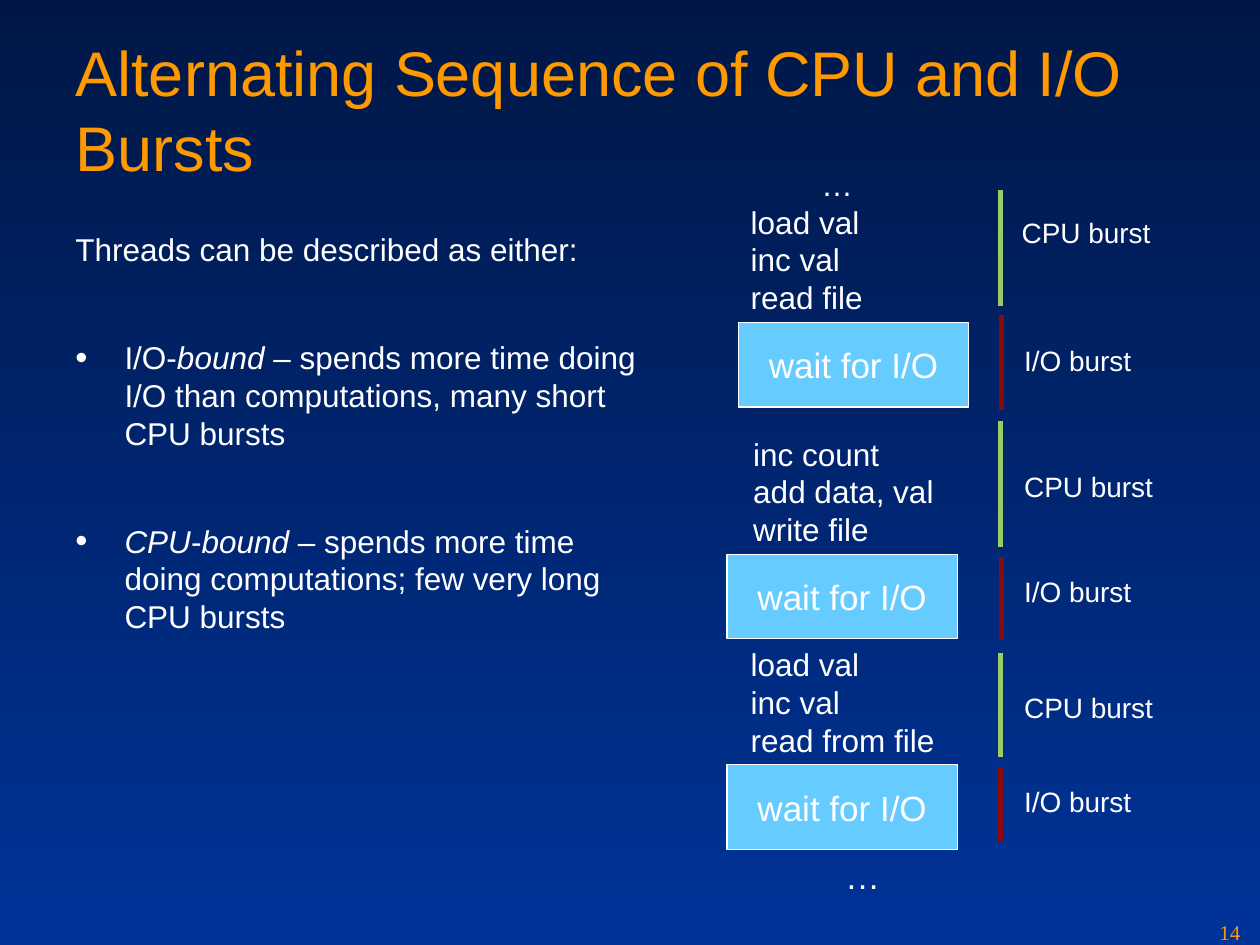
from dataclasses import dataclass

from lxml.etree import SubElement
from pptx import Presentation
from pptx.dml.color import RGBColor
from pptx.enum.shapes import MSO_CONNECTOR as CONN, MSO_SHAPE as SHAPE
from pptx.enum.text import MSO_ANCHOR as ANCHOR, MSO_AUTO_SIZE as FIT, PP_ALIGN as ALIGN
from pptx.oxml.ns import qn
from pptx.util import Inches, Pt

COLS, ROWS = 100, 75
CELL = Inches(0.1)


@dataclass(frozen=True)
class Theme:
    font: str = "Arial"
    number_font: str = "Times New Roman"
    top: str = "001746"
    bottom: str = "003399"
    accent: str = "FE9900"
    text: str = "FFFFFF"
    wait: str = "66CCFF"
    cpu: str = "99CC66"
    io_burst: str = "8B0A0B"
    title: int = 36
    large: int = 20
    body: int = 18
    label: int = 16
    number: int = 12


T = Theme()


def rgb(color):
    return RGBColor.from_string(color)


def cells(*values):
    """Convert grid columns or rows to slide lengths."""
    return [round(v * CELL) for v in values]


def add_run(p, text, size, color=T.text, font=T.font, italic=False):
    r = p.add_run()
    r.text = text
    r.font.name, r.font.size, r.font.italic = font, Pt(size), italic
    r.font.color.rgb = rgb(color)


def add_text(slide, box, lines, size, wrap=False, **style):
    """Add a text box with one paragraph per line and return its text frame."""
    tf = slide.shapes.add_textbox(*cells(*box)).text_frame
    tf.word_wrap = wrap
    tf.auto_size = FIT.NONE if wrap else FIT.SHAPE_TO_FIT_TEXT
    for i, line in enumerate(lines):
        p = tf.add_paragraph() if i else tf.paragraphs[0]
        add_run(p, line, size, **style)
    return tf


def indent(p, left, first):
    pPr = p._p.get_or_add_pPr()
    pPr.set("marL", str(Inches(left)))
    pPr.set("indent", str(Inches(first)))
    return pPr


def add_bullet(p):
    pPr = indent(p, 0.39, -0.39)
    clr = SubElement(pPr, qn("a:buClr"))
    SubElement(clr, qn("a:srgbClr"), val=T.text)
    SubElement(pPr, qn("a:buSzPct"), val="110000")
    SubElement(pPr, qn("a:buFont"), typeface=T.font)
    SubElement(pPr, qn("a:buChar"), char="•")


def set_background(slide):
    fill = slide.background.fill
    fill.gradient()
    fill.gradient_angle = 270
    for stop, color in zip(fill.gradient_stops, (T.top, T.bottom)):
        stop.color.rgb = rgb(color)


def place_title(slide, box, text):
    sp = slide.shapes.title
    sp.left, sp.top, sp.width, sp.height = cells(*box)
    tf = sp.text_frame
    tf.word_wrap, tf.auto_size, tf.vertical_anchor = True, FIT.NONE, ANCHOR.MIDDLE
    p = tf.paragraphs[0]
    p.alignment = ALIGN.LEFT
    add_run(p, text, T.title, T.accent)


def place_definitions(slide, box, intro, items):
    """Intro line, then bulleted items made of (text, italic) runs."""
    tf = add_text(slide, box, [intro], T.body, wrap=True)
    for runs in items:
        p = tf.add_paragraph()
        add_bullet(p)
        p.space_before = Pt(40)
        for text, italic in runs:
            add_run(p, text, T.body, italic=italic)


def add_wait(slide, box):
    sp = slide.shapes.add_shape(SHAPE.RECTANGLE, *cells(*box))
    sp.shadow.inherit = False
    sp.fill.solid()
    sp.fill.fore_color.rgb = rgb(T.wait)
    sp.line.color.rgb, sp.line.width = rgb(T.text), Pt(0.75)
    tf = sp.text_frame
    tf.word_wrap, tf.vertical_anchor = False, ANCHOR.MIDDLE
    p = tf.paragraphs[0]
    p.alignment = ALIGN.CENTER
    add_run(p, "wait for I/O", T.large)


def place_program(slide, box, blocks):
    """Code blocks, each followed by a wait box, and a closing ellipsis."""
    x, y, w, h = box
    for lines, dx, dy, cw, ch, wait_dx in blocks:
        tf = add_text(slide, (x + dx, y + dy, cw, ch), lines, T.body)
        if lines[0] == "…":
            indent(tf.paragraphs[0], 0.56, 0)
        add_wait(slide, (x + wait_dx, y + dy + ch, w, 6.7))
    add_text(slide, (x + 8.4, y + h - 4.4, 4.8, 4.4), ["…"], T.large)


def place_bursts(slide, box, bursts):
    """Alternating CPU and I/O bars, each with its label."""
    x, y = box[:2]
    kinds = (("CPU burst", T.cpu, 12.2), ("I/O burst", T.io_burst, 10.5))
    for i, (start, end, label_dy, shift) in enumerate(bursts):
        name, color, width = kinds[i % 2]
        bar = slide.shapes.add_connector(
            CONN.STRAIGHT, *cells(x + shift, y + start, x + shift, y + end))
        bar.line.color.rgb, bar.line.width = rgb(color), Pt(3)
        SubElement(bar._element.spPr, qn("a:effectLst"))
        label_dx = 0.9 if i else 0.7
        add_text(slide, (x + label_dx, y + label_dy, width, 3.7), [name], T.label)


def main():
    prs = Presentation()
    prs.slide_width, prs.slide_height = cells(COLS, ROWS)
    slide = prs.slides.add_slide(prs.slide_layouts[5])
    set_background(slide)
    place_title(slide, (5, 2.4, 90, 12.5), "Alternating Sequence of CPU and I/O Bursts")

    # Kinds of threads
    place_definitions(slide, (5, 17.8, 48.3, 44.8), "Threads can be described as either:", [
        [("I/O-", False), ("bound ", True),
         ("– spends more time doing I/O than computations, many short CPU bursts", False)],
        [("CPU", True), ("-", False), ("bound ", True),
         ("– spends more time doing computations; few very long CPU bursts", False)],
    ])

    # Instructions: lines, left, top, width, height, left of the wait box
    place_program(slide, (57.7, 12.6, 18.3, 59.1), [
        (["…", "load val", "inc val", "read file"], 0.9, 0, 10.9, 13, 0.9),
        (["inc count", "add data, val", "write file"], 1.1, 21.4, 16.3, 10, 0),
        (["load val", "inc val", "read from file"], 0.9, 38.1, 16.6, 10, 0),
    ])

    # Bursts: bar start, bar end, label top, bar shift
    place_bursts(slide, (79.4, 15.1, 13, 51.7), [
        (0, 9.2, 1.5, 0), (9.9, 17.4, 11.7, 0.1),
        (18.3, 28.3, 21.7, 0), (29.1, 35.7, 30, 0.1),
        (36.7, 45, 39.2, 0), (45.8, 51.7, 46.7, 0),
    ])

    # Slide number
    add_text(slide, (95.8, 72.5, 4.2, 2.5), ["14"], T.number, wrap=True,
             color=T.accent, font=T.number_font)
    prs.save("out.pptx")


if __name__ == "__main__":
    main()
